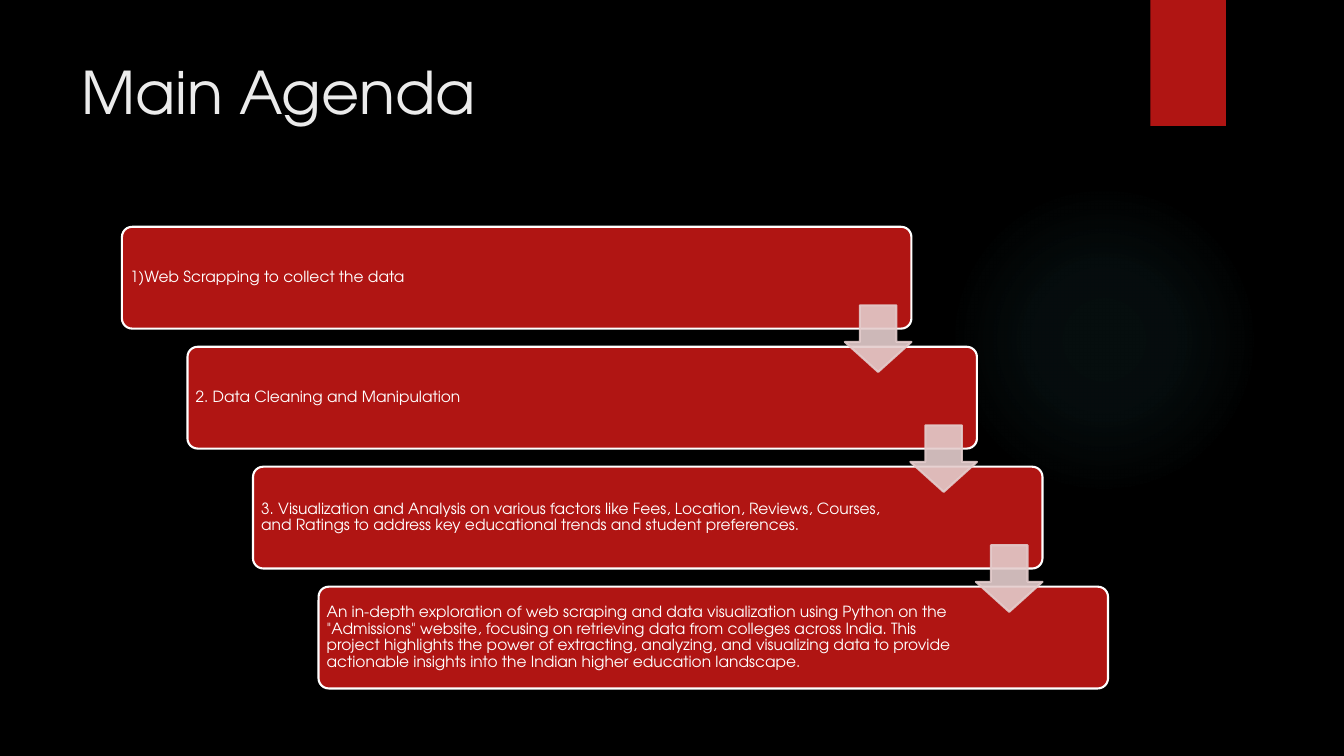
from lxml.etree import SubElement
from pptx import Presentation
from pptx.dml.color import RGBColor
from pptx.enum.shapes import MSO_SHAPE
from pptx.enum.text import MSO_ANCHOR
from pptx.oxml import parse_xml
from pptx.oxml.ns import nsdecls, qn
from pptx.util import Inches, Pt

BLACK = RGBColor(0x00, 0x00, 0x00)
WHITE = RGBColor(0xFF, 0xFF, 0xFF)
RED = RGBColor(0xB0, 0x15, 0x13)
PINK = RGBColor(0xE4, 0xCC, 0xCC)
TITLE_GREY = RGBColor(0xEB, 0xEB, 0xEB)
GLOW_TEAL = RGBColor(0x50, 0xB9, 0xC1)
FONT = "TeX Gyre Adventor"

# Staircase of cards, in inches
STAIR_LEFT, STAIR_TOP = 1.21, 2.25
STEP_X, STEP_Y = 0.65, 1.19
CARD_W, CARD_H = 7.83, 1.01
CARD_PAD = 0.03
TEXT_W = 6.46
ARROW_SIZE, ARROW_DROP = 0.66, 0.78

AGENDA = [
    "1)Web Scrapping to collect the data",
    "2. Data Cleaning and Manipulation",
    "3. Visualization and Analysis on various factors like Fees, Location, "
    "Reviews, Courses, and Ratings to address key educational trends and "
    "student preferences.",
    "An in-depth exploration of web scraping and data visualization using "
    "Python on the \"Admissions\" website, focusing on retrieving data from "
    "colleges across India. This project highlights the power of extracting, "
    "analyzing, and visualizing data to provide actionable insights into the "
    "Indian higher education landscape.",
]


def add_block(slide, preset, box, color, outline=None, adjustments=()):
    block = slide.shapes.add_shape(preset, *map(Inches, box))
    block.shadow.inherit = False
    block.fill.solid()
    block.fill.fore_color.rgb = color
    if outline is None:
        block.line.fill.background()
    else:
        block.line.color.rgb = outline
        block.line.width = Pt(1.5)
    for index, value in enumerate(adjustments):
        block.adjustments[index] = value
    return block


def add_text(slide, box, wording, size, color, inset=(0.1, 0.05),
             anchor=MSO_ANCHOR.TOP, line_spacing=1.0):
    frame = slide.shapes.add_textbox(*map(Inches, box)).text_frame
    frame.word_wrap = True
    frame.vertical_anchor = anchor
    frame.margin_left = frame.margin_right = Inches(inset[0])
    frame.margin_top = frame.margin_bottom = Inches(inset[1])
    paragraph = frame.paragraphs[0]
    paragraph.text = wording
    paragraph.line_spacing = line_spacing
    paragraph.font.name = FONT
    paragraph.font.size = Pt(size)
    paragraph.font.color.rgb = color


def add_glow(slide, box):
    """Add a faint circle that fades out towards its rim."""
    glow = add_block(slide, MSO_SHAPE.OVAL, box, GLOW_TEAL)
    stops = "".join(
        f'<a:gs pos="{place * 1000}"><a:srgbClr val="{GLOW_TEAL}">'
        f'<a:alpha val="{alpha * 1000}"/></a:srgbClr></a:gs>'
        for place, alpha in ((0, 7), (36, 6), (69, 0), (100, 0)))
    gradient = parse_xml(
        f'<a:gradFill {nsdecls("a")}><a:gsLst>{stops}</a:gsLst>'
        '<a:path path="circle"><a:fillToRect l="50000" t="50000" '
        'r="50000" b="50000"/></a:path></a:gradFill>')
    properties = glow.element.spPr
    properties.replace(properties.find(qn("a:solidFill")), gradient)


def add_card(slide, left, top, wording):
    add_block(slide, MSO_SHAPE.ROUNDED_RECTANGLE, (left, top, CARD_W, CARD_H),
              RED, WHITE, (0.1,))
    text_box = (left + CARD_PAD, top + CARD_PAD, TEXT_W, CARD_H - 2 * CARD_PAD)
    add_text(slide, text_box, wording, 11, WHITE, (0.05, 0.05),
             MSO_ANCHOR.MIDDLE, 0.9)


def add_step_arrow(slide, card_left, card_top):
    """Add the translucent arrow that leads from a card to the next."""
    box = (card_left + CARD_W - ARROW_SIZE, card_top + ARROW_DROP,
           ARROW_SIZE, ARROW_SIZE)
    arrow = add_block(slide, MSO_SHAPE.DOWN_ARROW, box, PINK, PINK, (0.55, 0.45))
    for color in arrow.element.spPr.iter(qn("a:srgbClr")):
        SubElement(color, qn("a:alpha"), val="90000")


def main():
    deck = Presentation()
    deck.slide_width, deck.slide_height = Inches(13.33), Inches(7.5)
    slide = deck.slides.add_slide(deck.slide_layouts[6])
    slide.background.fill.solid()
    slide.background.fill.fore_color.rgb = BLACK

    add_glow(slide, (9.41, 1.83, 3.08, 3.08))
    add_block(slide, MSO_SHAPE.RECTANGLE, (11.41, 0, 0.75, 1.25), RED)
    add_text(slide, (0.71, 0.5, 10.29, 1.53), "Main Agenda", 42, TITLE_GREY)

    steps = [(STAIR_LEFT + i * STEP_X, STAIR_TOP + i * STEP_Y)
             for i in range(len(AGENDA))]
    for (left, top), wording in zip(steps, AGENDA):
        add_card(slide, left, top, wording)
    for left, top in steps[:-1]:
        add_step_arrow(slide, left, top)

    deck.save("out.pptx")


if __name__ == "__main__":
    main()
